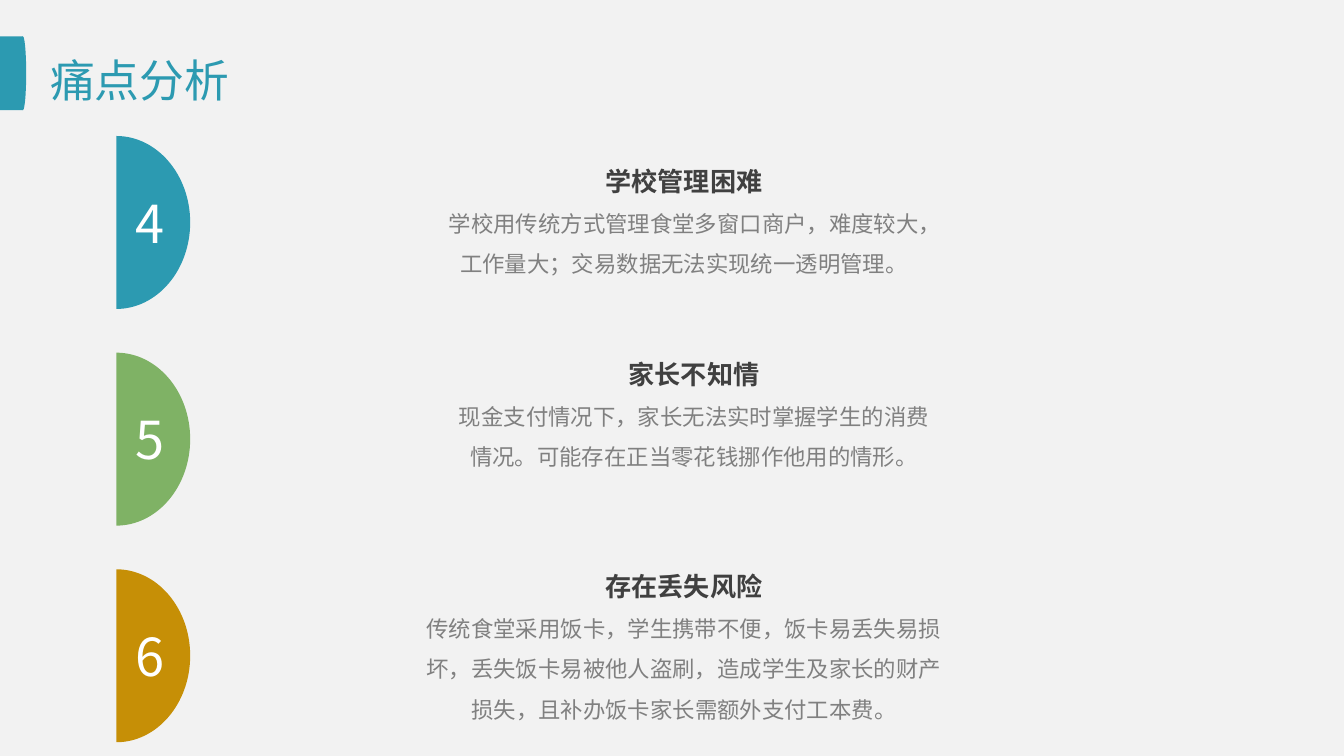
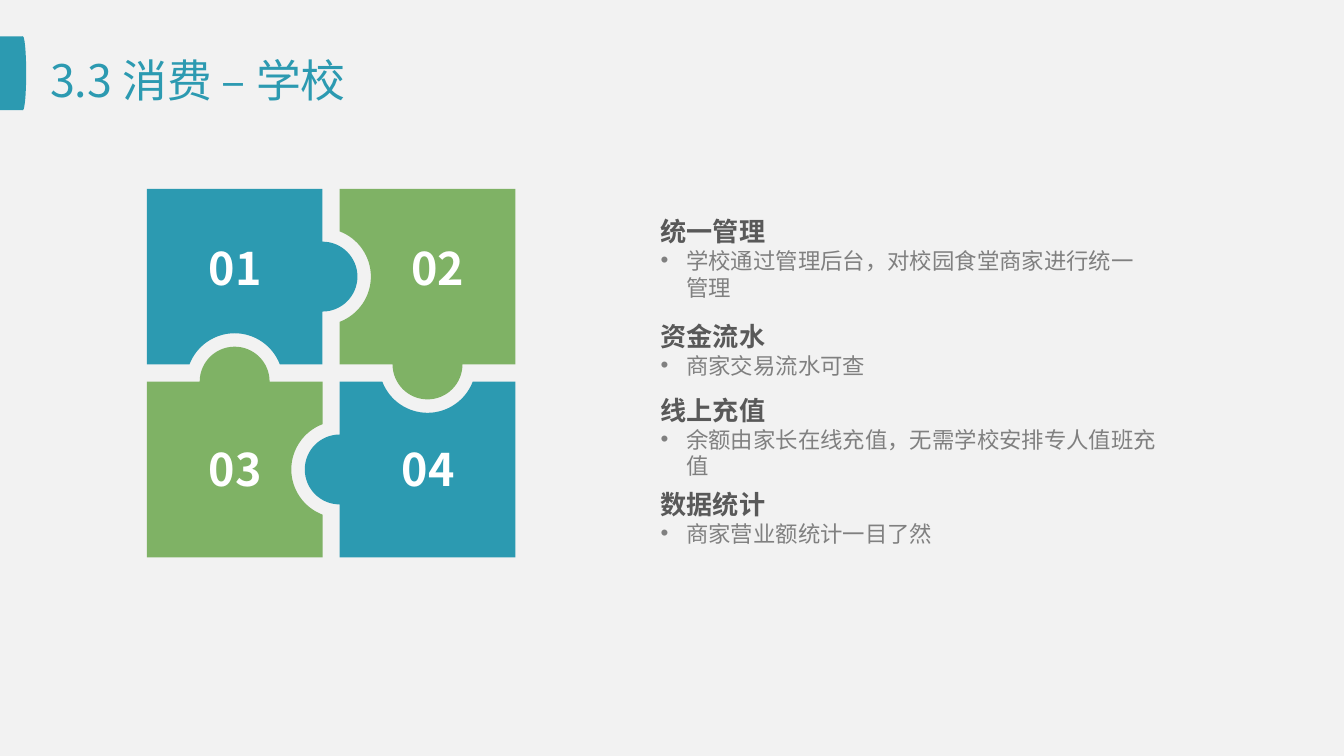
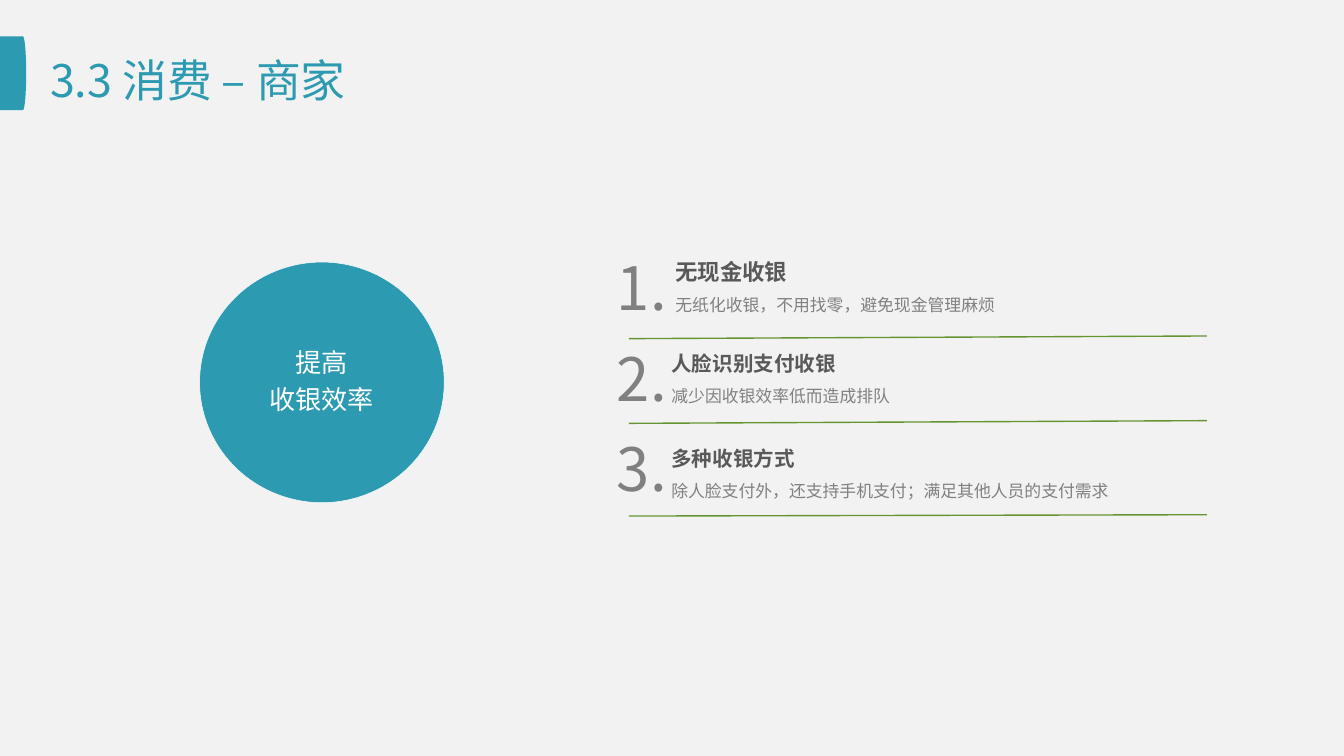
"""Build three slides on canteen pain points, school consumption and merchant checkout."""
import math
from dataclasses import dataclass, replace
from typing import NamedTuple, Sequence

import pptx
import pptx.dml.color
import pptx.enum.shapes
import pptx.enum.text
import pptx.oxml.ns
import pptx.slide
import pptx.util
from lxml import etree

ALIGN = pptx.enum.text.PP_ALIGN
ANCHOR = pptx.enum.text.MSO_ANCHOR
SHAPE = pptx.enum.shapes.MSO_SHAPE
COLUMNS = 100
SLIDE_WIDTH = pptx.util.Inches(10)
SLIDE_HEIGHT = SLIDE_WIDTH * 9 // 16
CELL = SLIDE_WIDTH / COLUMNS


@dataclass(frozen=True)
class Theme:
    """Colours, font and type sizes of the deck."""

    font: str = "Noto Sans CJK SC"
    bullet_font: str = "Arial"
    background: str = "F2F2F2"
    teal: str = "2C9AB1"
    green: str = "7FB265"
    gold: str = "C68F06"
    rule: str = "659532"
    white: str = "FFFFFF"
    dark: str = "404040"
    heading: str = "595959"
    body: str = "808080"
    ordinal_size: int = 32
    numeral_size: int = 28
    title_size: int = 24
    heading_size: int = 14
    text_size: int = 12
    small_heading_size: int = 11
    small_size: int = 9


THEME = Theme()


@dataclass(frozen=True)
class Style:
    """Look of one paragraph."""

    size: int
    color: str
    bold: bool = False
    align: ALIGN = ALIGN.LEFT
    line_spacing: float = 1.0
    space_after: int = 0
    bullet: bool = False


class Box(NamedTuple):
    """Place and size in grid cells."""

    left: float
    top: float
    width: float
    height: float


class Insets(NamedTuple):
    """Horizontal and vertical text margins in grid cells."""

    horizontal: float
    vertical: float


class Point(NamedTuple):
    """Place in grid cells."""

    x: float
    y: float


Segment = tuple[Point, ...]


class Topic(NamedTuple):
    """Heading with its explanation and its box."""

    box: Box
    heading: str
    detail: str


class Tile(NamedTuple):
    """Puzzle tile; edges run top, right, bottom, left."""

    column: int
    row: int
    color: str
    edges: tuple[str, str, str, str]
    number: str
    number_left: float


WIDE = Insets(1, 0.5)
MEDIUM = Insets(0.75, 0.4)
NARROW = Insets(0.4, 0.2)
TITLE = Style(THEME.title_size, THEME.teal)
NUMERAL = Style(THEME.numeral_size, THEME.white)
ORDINAL = Style(THEME.ordinal_size, THEME.body)
TILE_NUMBER = Style(THEME.title_size, THEME.white, True, ALIGN.CENTER)
CIRCLE_TEXT = Style(THEME.heading_size, THEME.white, False, ALIGN.CENTER, 0.9, 5)
PAIN_STYLES = (
    Style(THEME.heading_size, THEME.dark, True, ALIGN.CENTER),
    Style(THEME.text_size, THEME.body, False, ALIGN.CENTER, 1.5),
)
SCHOOL_STYLES = (
    Style(THEME.heading_size, THEME.heading, True),
    Style(THEME.text_size, THEME.body, bullet=True),
)
MERCHANT_STYLES = (
    Style(THEME.small_heading_size, THEME.heading, True, line_spacing=1.5),
    Style(THEME.small_size, THEME.body, line_spacing=1.5),
)

PAINS = (
    (THEME.teal, "4", Topic(Box(31.6, 8.9, 38.6, 15.1), "学校管理困难",
     "学校用传统方式管理食堂多窗口商户，难度较大，工作量大；交易数据无法实现统一透明管理。")),
    (THEME.green, "5", Topic(Box(32.5, 26.25, 38.3, 9.1), "家长不知情",
     "现金支付情况下，家长无法实时掌握学生的消费情况。可能存在正当零花钱挪作他用的情形。")),
    (THEME.gold, "6", Topic(Box(30.7, 37.5, 40.4, 21.2), "存在丢失风险",
     "传统食堂采用饭卡，学生携带不便，饭卡易丢失易损坏，丢失饭卡易被他人盗刷，"
     "造成学生及家长的财产损失，且补办饭卡家长需额外支付工本费。")),
)
TILES = (
    Tile(0, 0, THEME.teal, ("flat", "tab", "socket", "flat"), "01", 13.6),
    Tile(1, 0, THEME.green, ("flat", "flat", "tab", "socket"), "02", 28.65),
    Tile(0, 1, THEME.green, ("tab", "socket", "flat", "flat"), "03", 13.6),
    Tile(1, 1, THEME.teal, ("socket", "flat", "flat", "tab"), "04", 27.95),
)
SCHOOL_TOPICS = (
    Topic(Box(48.4, 15.6, 37.5, 7.2), "统一管理", "学校通过管理后台，对校园食堂商家进行统一管理"),
    Topic(Box(48.4, 23.45, 39.5, 5.1), "资金流水", "商家交易流水可查"),
    Topic(Box(48.4, 28.9, 39.5, 7.2), "线上充值", "余额由家长在线充值，无需学校安排专人值班充值"),
    Topic(Box(48.4, 35.95, 39.5, 5.1), "数据统计", "商家营业额统计一目了然"),
)
MERCHANT_TOPICS = (
    (THEME.text_size, 25.2, 25, Topic(
        Box(49.85, 18, 32.2, 5.7), "无现金收银", "无纸化收银，不用找零，避免现金管理麻烦")),
    (THEME.small_heading_size, 31.5, 31.3, Topic(
        Box(49.55, 25, 32.2, 5.5), "人脸识别支付收银", "减少因收银效率低而造成排队")),
    (THEME.small_heading_size, 38.4, 38.3, Topic(
        Box(49.55, 32.05, 47.4, 5.5), "多种收银方式",
        "除人脸支付外，还支持手机支付；满足其他人员的支付需求")),
)


def cells(count: float) -> pptx.util.Emu:
    """Turn grid cells into a length."""
    return pptx.util.Emu(round(count * CELL))


def rgb(color: str) -> pptx.dml.color.RGBColor:
    """Turn a hex string into a colour."""
    return pptx.dml.color.RGBColor.from_string(color)


def add_child(parent, tag: str, **attributes: str):
    """Append an XML element."""
    return etree.SubElement(parent, pptx.oxml.ns.qn(tag), attributes)


def style_paragraph(paragraph, style: Style) -> None:
    """Apply a style to a paragraph and its runs."""
    paragraph.alignment = style.align
    paragraph.line_spacing = style.line_spacing
    paragraph.space_after = pptx.util.Pt(style.space_after)
    if style.bullet:
        properties = paragraph._p.get_or_add_pPr()
        properties.set("marL", str(cells(1.9)))
        properties.set("indent", str(cells(-1.9)))
        add_child(properties, "a:buFont", typeface=THEME.bullet_font)
        add_child(properties, "a:buChar", char="•")
    for run in paragraph.runs:
        run.font.size = pptx.util.Pt(style.size)
        run.font.bold = style.bold
        run.font.name = THEME.font
        run.font.color.rgb = rgb(style.color)
        add_child(run._r.get_or_add_rPr(), "a:ea", typeface=THEME.font)


def write(shape, lines: Sequence[str], styles: Sequence[Style], insets: Insets,
          anchor: ANCHOR = ANCHOR.MIDDLE) -> None:
    """Fill a shape with styled paragraphs."""
    text_frame = shape.text_frame
    text_frame.word_wrap = True
    text_frame.vertical_anchor = anchor
    text_frame.margin_left = text_frame.margin_right = cells(insets.horizontal)
    text_frame.margin_top = text_frame.margin_bottom = cells(insets.vertical)
    text_frame.text = "\n".join(lines)
    for paragraph, style in zip(text_frame.paragraphs, styles):
        style_paragraph(paragraph, style)


def add_text(slide: pptx.slide.Slide, box: Box, lines: Sequence[str],
             styles: Sequence[Style], insets: Insets = WIDE,
             anchor: ANCHOR = ANCHOR.MIDDLE) -> None:
    """Add a text box."""
    write(slide.shapes.add_textbox(*map(cells, box)), lines, styles, insets, anchor)


def paint(shape, color: str) -> None:
    """Give a shape a flat fill without line or shadow."""
    shape.shadow.inherit = False
    shape.fill.solid()
    shape.fill.fore_color.rgb = rgb(color)
    shape.line.fill.background()


def add_preset(slide: pptx.slide.Slide, kind: SHAPE, box: Box, color: str):
    """Add a painted preset shape."""
    shape = slide.shapes.add_shape(kind, *map(cells, box))
    paint(shape, color)
    return shape


def add_outline(slide: pptx.slide.Slide, segments: Sequence[Segment], color: str) -> None:
    """Add a closed outline; segments of three points become curves."""
    (start,), *others = segments
    builder = slide.shapes.build_freeform(cells(start.x), cells(start.y))
    builder.add_line_segments(
        [(cells(point.x), cells(point.y)) for segment in others for point in segment], close=True)
    shape = builder.convert_to_shape()
    lines = iter(list(shape._element.iter(pptx.oxml.ns.qn("a:lnTo"))))
    for segment in others:
        steps = [next(lines) for _ in segment]
        if len(segment) == 3:
            curve = etree.Element(pptx.oxml.ns.qn("a:cubicBezTo"))
            steps[0].addprevious(curve)
            for step in steps:
                curve.append(step[0])
                step.getparent().remove(step)
    paint(shape, color)


def arc(center: Point, radius_x: float, radius_y: float, start: float, end: float) -> list[Segment]:
    """Return the first point of an arc and two curves along it."""
    turn = (end - start) / 2
    pull = 4 / 3 * math.tan(turn / 4)

    def place(angle: float, shift: float = 0) -> Point:
        """Find a point on the arc, shifted along its tangent."""
        return Point(center.x + radius_x * (math.cos(angle) - shift * math.sin(angle)),
                     center.y + radius_y * (math.sin(angle) + shift * math.cos(angle)))

    return [(place(start),)] + [
        (place(angle, pull), place(angle + turn, -pull), place(angle + turn))
        for angle in (start, start + turn)]


def half_disc(box: Box) -> list[Segment]:
    """Outline the right half of an ellipse."""
    radius = box.height / 2
    return arc(Point(box.left, box.top + radius), box.width, radius, -math.pi / 2, math.pi / 2)


def puzzle_outline(left: float, top: float, side: float, gap: float,
                   edges: Sequence[str]) -> list[Segment]:
    """Outline a square clockwise with round tabs and sockets."""
    tab_radius, socket_radius = 2.6, 3.6
    half = side / 2
    center = Point(left + half, top + half)
    lean = math.asin(gap / socket_radius)
    bumps = {
        "flat": [],
        "tab": arc(Point(0, 0), tab_radius, tab_radius, math.pi, 0),
        "socket": arc(Point(0, gap), socket_radius, socket_radius,
                      math.pi + lean, 2 * math.pi - lean),
    }
    outline = []
    for edge, normal in zip(edges, (Point(0, -1), Point(1, 0), Point(0, 1), Point(-1, 0))):
        along = Point(-normal.y, normal.x)
        outline += [
            tuple(Point(center.x + along.x * run + normal.x * (half + rise),
                        center.y + along.y * run + normal.y * (half + rise))
                  for run, rise in segment)
            for segment in [(Point(-half, 0),), *bumps[edge]]]
    return outline


def add_rule(slide: pptx.slide.Slide, start: Point, end: Point) -> None:
    """Add a thin separating line."""
    connector = slide.shapes.add_connector(
        pptx.enum.shapes.MSO_CONNECTOR.STRAIGHT, *map(cells, (*start, *end)))
    connector.line.color.rgb = rgb(THEME.rule)
    connector.line.width = pptx.util.Pt(0.75)
    add_child(connector._element.spPr, "a:effectLst")


def add_titled_slide(presentation, title: str) -> pptx.slide.Slide:
    """Add a blank slide with the side tab and a title."""
    slide = presentation.slides.add_slide(presentation.slide_layouts[6])
    add_preset(slide, SHAPE.RECTANGLE, Box(0, 2.7, 1.7, 5.5), THEME.teal)
    add_preset(slide, SHAPE.OVAL, Box(1.45, 2.7, 0.5, 5.5), THEME.teal)
    add_text(slide, Box(2.75, 2.9, 90, 6), [title], [TITLE])
    return slide


def build_pains(presentation) -> None:
    """Build the pain point slide."""
    slide = add_titled_slide(presentation, "痛点分析")
    for index, (color, number, topic) in enumerate(PAINS):
        top = 10.12 + 16.12 * index
        add_outline(slide, half_disc(Box(8.65, top, 5.5, 12.87)), color)
        add_text(slide, Box(9.1, top + 3.6, 4.7, 5.7), [number], [NUMERAL], anchor=ANCHOR.TOP)
        add_text(slide, topic.box, [topic.heading, topic.detail], PAIN_STYLES)


def build_school(presentation) -> None:
    """Build the school slide with its puzzle."""
    slide = add_titled_slide(presentation, "3.3 消费 – 学校")
    side, gap = 13.07, 1.28
    for tile in TILES:
        left = 10.93 + tile.column * (side + gap)
        top = 14.05 + tile.row * (side + gap)
        add_outline(slide, puzzle_outline(left, top, side, gap, tile.edges), tile.color)
    for tile in TILES:
        box = Box(tile.number_left, 17.15 + 15 * tile.row, 7.8, 5.5)
        add_text(slide, box, [tile.number], [TILE_NUMBER])
    for topic in SCHOOL_TOPICS:
        add_text(slide, topic.box, [topic.heading, topic.detail], SCHOOL_STYLES, MEDIUM)


def build_merchant(presentation) -> None:
    """Build the merchant slide."""
    slide = add_titled_slide(presentation, "3.3 消费 – 商家")
    circle = add_preset(slide, SHAPE.OVAL, Box(14.85, 19.5, 18.2, 17.9), THEME.teal)
    circle.line.color.rgb = rgb(THEME.white)
    circle.line.width = pptx.util.Pt(0.25)
    write(circle, ["提高", "收银效率"], [CIRCLE_TEXT] * 2, Insets(2, 2))
    heading, detail = MERCHANT_STYLES
    for index, (size, rule_start, rule_end, topic) in enumerate(MERCHANT_TOPICS):
        add_text(slide, Box(45.5, 18.45 + 6.75 * index, 5, 5.8), [f"{index + 1}."],
                 [ORDINAL], NARROW, ANCHOR.TOP)
        add_text(slide, topic.box, [topic.heading, topic.detail],
                 [replace(heading, size=size), detail], NARROW, ANCHOR.TOP)
        add_rule(slide, Point(46.8, rule_start), Point(89.8, rule_end))


def main() -> None:
    """Build and save the deck."""
    presentation = pptx.Presentation()
    presentation.slide_width = SLIDE_WIDTH
    presentation.slide_height = SLIDE_HEIGHT
    background = presentation.slide_master.background.fill
    background.solid()
    background.fore_color.rgb = rgb(THEME.background)
    build_pains(presentation)
    build_school(presentation)
    build_merchant(presentation)
    presentation.save("out.pptx")


if __name__ == "__main__":
    main()
